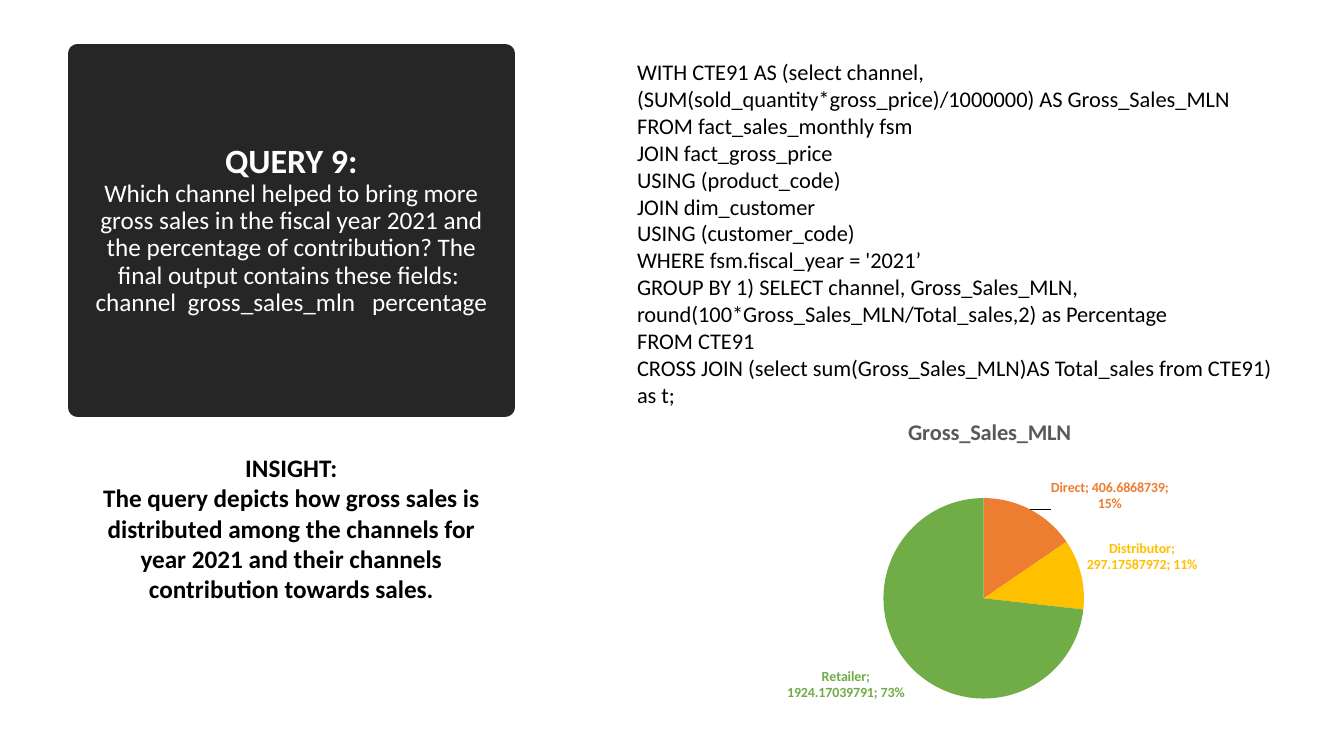
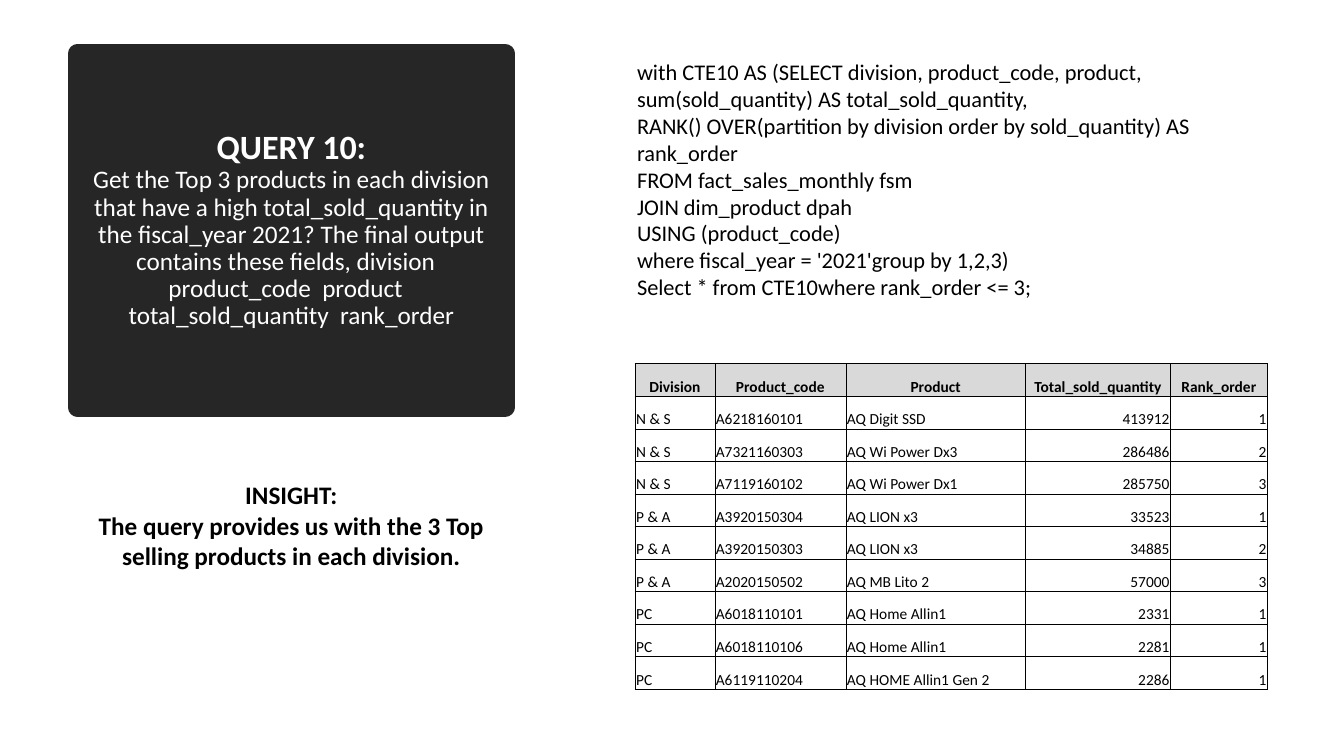
from lxml.etree import SubElement
from pptx import Presentation
from pptx.chart.data import CategoryChartData
from pptx.dml.color import RGBColor
from pptx.enum.chart import XL_CHART_TYPE as ChartType, XL_LABEL_POSITION as LabelPosition
from pptx.enum.text import MSO_ANCHOR as Anchor, MSO_AUTO_SIZE as AutoSize, PP_ALIGN as Align
from pptx.oxml import parse_xml
from pptx.oxml.ns import nsdecls, qn
from pptx.util import Inches, Pt

FONT = "Calibri"
BLACK, WHITE, PANEL, HEADER, GRAY = "000000", "FFFFFF", "262626", "D9D9D9", "595959"
SLICE_COLORS = ["ED7D31", "FFC000", "70AD47"]

# Columns: left edge and width in inches
LEFT_COLUMN = (0.77, 4.24)
CODE_COLUMN = (6.22, 6.53)
CHART_COLUMN = (6.89, 5.85)
TABLE_COLUMN = (6.3, 6.27)
TOP = 0.53

CHANNEL_QUESTION = (
    "Which channel helped to bring more gross sales in the fiscal year 2021 and the "
    "percentage of contribution? The final output contains these fields:  "
    "channel  gross_sales_mln   percentage")
CHANNEL_CODE = [
    "WITH CTE91 AS (select channel, (SUM(sold_quantity*gross_price)/1000000) AS Gross_Sales_MLN",
    "FROM fact_sales_monthly fsm",
    "JOIN fact_gross_price",
    "USING (product_code)",
    "JOIN dim_customer",
    "USING (customer_code)",
    "WHERE fsm.fiscal_year = '2021’",
    "GROUP BY 1) SELECT channel, Gross_Sales_MLN, "
    "round(100*Gross_Sales_MLN/Total_sales,2) as Percentage",
    "FROM CTE91",
    "CROSS JOIN (select sum(Gross_Sales_MLN)AS Total_sales from CTE91) as t;",
]
CHANNEL_INSIGHT = (
    "The query depicts how gross sales is distributed among the channels for year 2021 "
    "and their channels contribution towards sales.")
CHANNEL_SALES = {"Direct": 406.6868739, "Distributor": 297.17587972, "Retailer": 1924.17039791}

PRODUCT_QUESTION = (
    "Get the Top 3 products in each division that have a high total_sold_quantity in the "
    "fiscal_year 2021? The final output contains these fields, division   "
    "product_code  product   total_sold_quantity  rank_order")
PRODUCT_CODE = [
    "with CTE10 AS (SELECT division, product_code, product, "
    "sum(sold_quantity) AS total_sold_quantity,",
    "RANK() OVER(partition by division order by sold_quantity) AS rank_order",
    "FROM fact_sales_monthly fsm",
    "JOIN dim_product dpah",
    "USING (product_code)",
    "where fiscal_year = '2021'group by 1,2,3)",
    "Select * from CTE10where rank_order <= 3;",
]
PRODUCT_INSIGHT = "The query provides us with the 3 Top selling products in each division."
PRODUCT_ROWS = [
    ("Division", "Product_code", "Product", "Total_sold_quantity", "Rank_order"),
    ("N & S", "A6218160101", "AQ Digit SSD", 413912, 1),
    ("N & S", "A7321160303", "AQ Wi Power Dx3", 286486, 2),
    ("N & S", "A7119160102", "AQ Wi Power Dx1", 285750, 3),
    ("P & A", "A3920150304", "AQ LION x3", 33523, 1),
    ("P & A", "A3920150303", "AQ LION x3", 34885, 2),
    ("P & A", "A2020150502", "AQ MB Lito 2", 57000, 3),
    ("PC", "A6018110101", "AQ Home Allin1", 2331, 1),
    ("PC", "A6018110106", "AQ Home Allin1", 2281, 1),
    ("PC", "A6119110204", "AQ HOME Allin1 Gen 2", 2286, 1),
]
PRODUCT_WIDTHS = [0.79, 1.3, 1.78, 1.44, 0.96]


def color(value):
    return RGBColor.from_string(value)


def area(column, top, height):
    """Left, top, width and height of a block standing in a column."""
    left, width = column
    return Inches(left), Inches(top), Inches(width), Inches(height)


def set_font(font, size, fill=BLACK, bold=False):
    font.name, font.size, font.bold = FONT, Pt(size), bold
    font.color.rgb = color(fill)


def set_title(page, heading, question):
    title = page.shapes.title
    title.left, title.top, title.width, title.height = area(LEFT_COLUMN, TOP, 3.51)
    title.fill.solid()
    title.fill.fore_color.rgb = color(PANEL)
    title.line.color.rgb = color(PANEL)
    title.line.width = Pt(13.75)
    frame = title.text_frame
    frame.auto_size = AutoSize.NONE
    frame.word_wrap = True
    frame.vertical_anchor = Anchor.MIDDLE
    para = frame.paragraphs[0]
    para.alignment, para.line_spacing = Align.CENTER, 0.9
    set_font(para.font, 18, WHITE)
    span = para.add_run()
    span.text = heading
    span.font.size, span.font.bold = Pt(24.3), True
    para.add_line_break()
    para.add_run().text = question


def add_text(page, place, lines, size, bold=False, align=Align.LEFT):
    frame = page.shapes.add_textbox(*place).text_frame
    frame.word_wrap = True
    frame.auto_size = AutoSize.SHAPE_TO_FIT_TEXT
    for index, line in enumerate(lines):
        para = frame.paragraphs[0] if index == 0 else frame.add_paragraph()
        para.text = line
        para.alignment = align
        set_font(para.font, size, bold=bold)


def add_query_page(deck, heading, question, code, code_height, insight, insight_top, insight_height):
    page = deck.slides.add_slide(deck.slide_layouts[5])
    set_title(page, heading, question)
    add_text(page, area(CODE_COLUMN, TOP, code_height), code, 16)
    add_text(page, area(LEFT_COLUMN, insight_top, insight_height),
             ["INSIGHT:", insight], 18, True, Align.CENTER)
    return page


def manual_layout(target="", **values):
    inner = f'<c:layoutTarget val="{target}"/>' if target else ""
    modes = "".join(f'<c:{axis}Mode val="edge"/>' for axis in "xy") if target else ""
    sizes = "".join(f'<c:{name} val="{value}"/>' for name, value in values.items())
    return parse_xml(f'<c:layout {nsdecls("c")}><c:manualLayout>{inner}{modes}{sizes}'
                     '</c:manualLayout></c:layout>')


def complete_label(label):
    """Show category, value and percentage in one data label."""
    for flag in ("showVal", "showCatName", "showPercent"):
        label.find(qn(f"c:{flag}")).set("val", "1")
    SubElement(label, qn("c:separator")).text = "; "


def add_pie(page, place, name, values):
    data = CategoryChartData()
    data.categories = list(values)
    data.add_series(name, list(values.values()))
    chart = page.shapes.add_chart(ChartType.PIE, *place, data).chart
    set_font(chart.font, 10)
    chart.has_legend = False
    chart.has_title = True
    heading = chart.chart_title.text_frame.paragraphs[0]
    span = heading.add_run()
    span.text = name
    set_font(span.font, 16, GRAY, True)

    chart.plots[0].vary_by_categories = True
    series = chart.plots[0].series[0]
    labels = series.data_labels
    labels.show_value = labels.show_category_name = labels.show_percentage = True
    labels.position = LabelPosition.OUTSIDE_END
    for index, fill in enumerate(SLICE_COLORS):
        point = series.points[index]
        point.format.fill.solid()
        point.format.fill.fore_color.rgb = color(fill)
        set_font(point.data_label.font, 10, fill, True)
        point.data_label.position = LabelPosition.OUTSIDE_END
    label_nodes = list(series._element.iter(qn("c:dLbl")))
    for label in label_nodes:
        complete_label(label)
    label_nodes[0].insert(1, manual_layout(x=0.03, y=0.02))

    plot_area = chart._chartSpace.chart.plotArea
    for layout in plot_area.findall(qn("c:layout")):
        plot_area.remove(layout)
    plot_area.insert(0, manual_layout("inner", x=0.32, y=0.28, w=0.34, h=0.59))


def set_borders(cell, widths):
    """Draw the left, right, top and bottom border with the widths in points."""
    properties = cell._tc.get_or_add_tcPr()
    for side, width in zip("LRTB", widths):
        properties.append(parse_xml(
            f'<a:ln{side} {nsdecls("a")} w="{Pt(width)}"><a:solidFill>'
            f'<a:srgbClr val="{BLACK}"/></a:solidFill></a:ln{side}>'))


def fill_cell(cell, value, is_header):
    cell.text = str(value)
    cell.vertical_anchor = Anchor.BOTTOM
    cell.margin_left = cell.margin_right = cell.margin_top = Inches(0.01)
    cell.margin_bottom = 0
    para = cell.text_frame.paragraphs[0]
    set_font(para.font, 11, bold=is_header)
    if is_header:
        para.alignment = Align.CENTER
        cell.fill.solid()
        cell.fill.fore_color.rgb = color(HEADER)
    else:
        para.alignment = Align.RIGHT if isinstance(value, int) else Align.LEFT
        cell.fill.background()


def add_grid(page, place, rows, widths):
    last_row, last_column = len(rows) - 1, len(widths) - 1
    table = page.shapes.add_table(len(rows), len(widths), *place).table
    table.first_row = table.horz_banding = False
    for column, width in zip(table.columns, widths):
        column.width = Inches(width)
    for row, values in enumerate(rows):
        for column, value in enumerate(values):
            cell = table.cell(row, column)
            outer = (column == 0, column == last_column, row == 0, row == last_row)
            set_borders(cell, [1 if edge else 0.5 for edge in outer])
            fill_cell(cell, value, row == 0)


def main():
    deck = Presentation()
    deck.slide_width, deck.slide_height = Inches(13.33), Inches(7.5)

    page = add_query_page(deck, "QUERY 9:", CHANNEL_QUESTION, CHANNEL_CODE, 3.6,
                          CHANNEL_INSIGHT, 4.44, 1.92)
    add_pie(page, area(CHART_COLUMN, 3.97, 3.42), "Gross_Sales_MLN", CHANNEL_SALES)

    page = add_query_page(deck, "QUERY 10:", PRODUCT_QUESTION, PRODUCT_CODE, 2.52,
                          PRODUCT_INSIGHT, 4.71, 1.31)
    add_grid(page, area(TABLE_COLUMN, 3.61, 3.23), PRODUCT_ROWS, PRODUCT_WIDTHS)

    deck.save("out.pptx")


if __name__ == "__main__":
    main()
